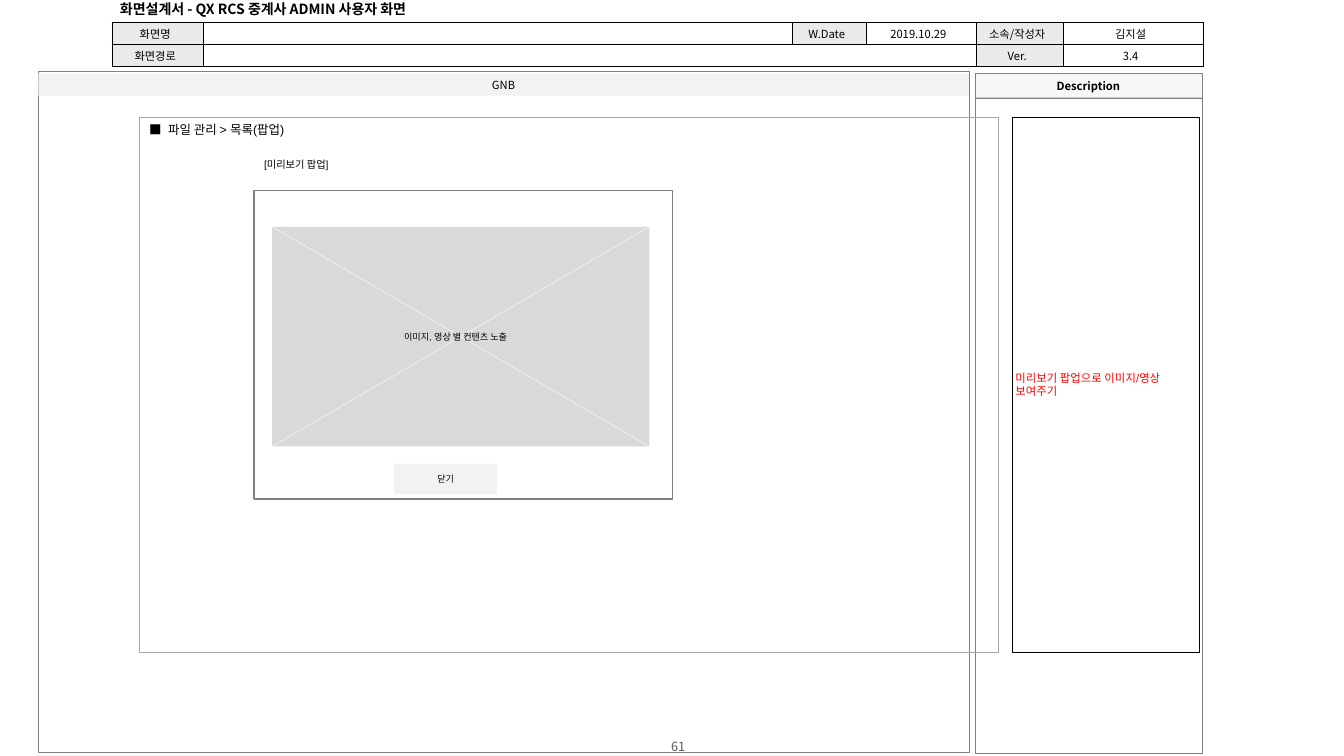
"""Build the preview popup page of an admin screen specification."""
from dataclasses import dataclass
from typing import Any, Optional

import lxml.etree
import pptx
import pptx.dml.color
import pptx.enum.shapes
import pptx.enum.text
import pptx.oxml.ns
import pptx.util

Inches = pptx.util.Inches
SHAPES = pptx.enum.shapes.MSO_SHAPE
ALIGN = pptx.enum.text.PP_ALIGN
ANCHOR = pptx.enum.text.MSO_ANCHOR
AUTO = pptx.enum.text.MSO_AUTO_SIZE
qn = pptx.oxml.ns.qn


@dataclass(frozen=True)
class Theme:
    black: str = "000000"
    white: str = "FFFFFF"
    red: str = "FF0000"
    page: str = "595959"
    frame: str = "808080"
    content: str = "A6A6A6"
    label: str = "EAEAEA"
    panel: str = "F8F8F8"
    bar: str = "F2F2F2"
    image: str = "D9D9D9"
    cjk: str = "Noto Sans CJK KR"
    latin: str = "Arial"
    title: float = 10
    page_size: float = 9
    heading: float = 8.9
    note: float = 8.1
    body: float = 8
    caption: float = 7.3
    small: float = 6.5
    hairline: float = 0.25
    cross: float = 0.5
    outline: float = 1


T = Theme()


@dataclass(frozen=True)
class Style:
    size: float
    font: str = T.cjk
    color: str = T.black
    bold: bool = False
    align: Any = ALIGN.CENTER
    anchor: Any = ANCHOR.MIDDLE
    wrap: bool = True
    margins: tuple[float, float, float, float] = (0.1, 0.05, 0.1, 0.05)


@dataclass(frozen=True)
class Box:
    left: float
    top: float
    width: float
    height: float
    fill: Optional[str] = None
    line: Optional[str] = None
    weight: float = T.hairline
    text: str = ""
    style: Style = Style(T.body)
    rounding: Optional[float] = None


@dataclass(frozen=True)
class Label:
    left: float
    top: float
    width: float
    height: float
    text: str
    style: Style
    grow: bool = True
    bullet: str = ""


CELL = Style(T.body, margins=(0.04, 0, 0.09, 0))
CAPTION = Style(T.caption, T.latin, align=ALIGN.LEFT, anchor=ANCHOR.TOP, wrap=False)
SMALL = Style(T.small, T.latin)
IMAGE_TEXT = Style(T.small, T.latin, align=ALIGN.LEFT, anchor=ANCHOR.TOP, wrap=False)
HEADING = Style(T.heading, T.latin, align=ALIGN.LEFT, anchor=ANCHOR.TOP)
NOTE = Style(T.note, T.latin, T.red, align=ALIGN.LEFT, margins=(0.03,) * 4)
TITLE = Style(T.title, bold=True, align=ALIGN.LEFT, margins=(0.09, 0.04, 0.09, 0.04))

IMAGE = Box(2.7, 2.25, 3.74, 2.18, T.image)
FRAME = Box(0.38, 0.71, 9.23, 6.75, line=T.frame)
PANELS = [
    Box(9.67, 0.96, 2.25, 6.51, line=T.frame),
    Box(9.67, 0.73, 2.25, 0.24, T.panel, T.frame, text="Description",
        style=Style(T.body, bold=True, wrap=False)),
    Box(0.38, 0.73, 9.23, 0.22, T.bar, text="GNB"),
]
POPUP = [
    Box(2.52, 1.89, 4.15, 3.06, line=T.frame, weight=T.outline),
    Box(3.91, 4.6, 1.02, 0.3, T.bar, text="닫기", style=SMALL, rounding=0.028),
    IMAGE,
]
CONTENT = [
    Box(10.04, 1.16, 1.85, 5.31, line=T.black,
        text="미리보기 팝업으로 이미지/영상 보여주기", style=NOTE),
    Box(1.38, 1.16, 8.52, 5.31, line=T.content),
]
PAGE = Label(5.17, 7.34, 3.11, 0.13, "61", Style(T.page_size, color=T.page), False)
LABELS = [
    Label(2.52, 1.52, 0.91, 0.22, "[미리보기 팝업]", CAPTION),
    Label(3.91, 3.24, 1.35, 0.21, "이미지, 영상 별 컨텐츠 노출", IMAGE_TEXT),
    Label(1.38, 1.16, 2.9, 0.25, "파일 관리 > 목록(팝업)", HEADING, bullet="■"),
]
COLUMNS = [0.91, 5.84, 0.73, 1.09, 0.87, 1.38]
ROWS = [
    ["화면명", "", "W.Date", "2019.10.29", "소속/작성자", "김지설"],
    ["화면경로", "", "", "", "Ver.", "3.4"],
]


def rgb(color: str) -> Any:
    """Return a colour object."""
    return pptx.dml.color.RGBColor.from_string(color)


def sub(parent: Any, tag: str, **attrs: str) -> Any:
    """Append an XML child."""
    return lxml.etree.SubElement(parent, qn(tag), attrs)


def add_text(p: Any, text: str, style: Style) -> None:
    """Add one formatted run to a paragraph."""
    p.alignment = style.align
    r = p.add_run()
    r.text = text
    r.font.size = pptx.util.Pt(style.size)
    r.font.name = style.font
    r.font.bold = style.bold
    r.font.color.rgb = rgb(style.color)
    sub(r.font._element, "a:ea", typeface=T.cjk)


def set_margins(target: Any, style: Style) -> None:
    """Set the insets and anchor of a text frame or cell."""
    target.margin_left, target.margin_top, target.margin_right, target.margin_bottom = (
        Inches(m) for m in style.margins)
    target.vertical_anchor = style.anchor


def fill_frame(tf: Any, text: str, style: Style) -> None:
    """Format a text frame and write its text."""
    tf.word_wrap = style.wrap
    set_margins(tf, style)
    add_text(tf.paragraphs[0], text, style)


def add_box(slide: Any, box: Box) -> None:
    """Draw a rectangle with optional text."""
    kind = SHAPES.RECTANGLE if box.rounding is None else SHAPES.ROUNDED_RECTANGLE
    sp = slide.shapes.add_shape(kind, *map(Inches, (box.left, box.top, box.width, box.height)))
    sp.shadow.inherit = False
    if box.rounding is not None:
        sp.adjustments[0] = box.rounding
    if box.fill:
        sp.fill.solid()
        sp.fill.fore_color.rgb = rgb(box.fill)
    else:
        sp.fill.background()
    if box.line:
        sp.line.color.rgb = rgb(box.line)
        sp.line.width = pptx.util.Pt(box.weight)
    else:
        sp.line.fill.background()
    if box.text:
        fill_frame(sp.text_frame, box.text, box.style)


def add_label(slide: Any, label: Label) -> None:
    """Draw a text box."""
    sp = slide.shapes.add_textbox(
        *map(Inches, (label.left, label.top, label.width, label.height)))
    tf = sp.text_frame
    if label.bullet:
        pPr = tf.paragraphs[0]._p.get_or_add_pPr()
        indent = Inches(0.19)
        pPr.set("marL", str(indent))
        pPr.set("indent", str(-indent))
        sub(pPr, "a:buFont", typeface=T.cjk)
        sub(pPr, "a:buChar", char=label.bullet)
    fill_frame(tf, label.text, label.style)
    tf.auto_size = AUTO.SHAPE_TO_FIT_TEXT if label.grow else AUTO.NONE


def add_cross(slide: Any, box: Box) -> None:
    """Draw both diagonals of a box."""
    bottom, right = box.top + box.height, box.left + box.width
    for start, end in ((bottom, box.top), (box.top, bottom)):
        line = slide.shapes.add_connector(
            pptx.enum.shapes.MSO_CONNECTOR.STRAIGHT,
            *map(Inches, (box.left, start, right, end)))
        line.line.color.rgb = rgb(T.bar)
        line.line.width = pptx.util.Pt(T.cross)
        sub(line._element.spPr, "a:effectLst")


def format_cell(cell: Any, text: str, fill: str) -> None:
    """Write, fill and border one table cell."""
    set_margins(cell, CELL)
    p = cell.text_frame.paragraphs[0]
    if text:
        add_text(p, text, CELL)
    else:
        sub(p._p, "a:endParaRPr", sz=str(int(T.body * 100)))
    cell.fill.solid()
    cell.fill.fore_color.rgb = rgb(fill)
    tcPr = cell._tc.get_or_add_tcPr()
    for i, side in enumerate("LRTB"):
        ln = sub(tcPr, f"a:ln{side}", w=str(pptx.util.Pt(T.hairline)))
        sub(sub(ln, "a:solidFill"), "a:srgbClr", val=T.black)
        tcPr.insert(i, ln)


def add_info_table(slide: Any) -> None:
    """Draw the document information table."""
    table = slide.shapes.add_table(len(ROWS), len(COLUMNS), Inches(1.11), Inches(0.22),
                                   Inches(sum(COLUMNS)), Inches(0.44)).table
    table.first_row = table.horz_banding = False
    for column, width in zip(table.columns, COLUMNS):
        column.width = Inches(width)
    for i, row in enumerate(ROWS):
        for j, text in enumerate(row):
            fill = T.label if text and j % 2 == 0 else T.white
            format_cell(table.cell(i, j), text, fill)
    table.cell(1, 1).merge(table.cell(1, 3))


def main() -> None:
    """Build and save the slide."""
    prs = pptx.Presentation()
    prs.slide_width, prs.slide_height = Inches(13.33), Inches(7.5)
    slide = prs.slides.add_slide(prs.slide_layouts[5])
    title = slide.shapes.title
    title.left, title.top, title.width, title.height = map(Inches, (1.1, -0.04, 3.47, 0.26))
    fill_frame(title.text_frame, "화면설계서 - QX RCS 중계사 ADMIN 사용자 화면", TITLE)
    title.text_frame.auto_size = AUTO.NONE
    add_label(slide, PAGE)
    add_box(slide, FRAME)
    add_info_table(slide)
    for box in PANELS + POPUP:
        add_box(slide, box)
    add_cross(slide, IMAGE)
    for box in CONTENT:
        add_box(slide, box)
    for label in LABELS:
        add_label(slide, label)
    prs.save("out.pptx")


if __name__ == "__main__":
    main()
